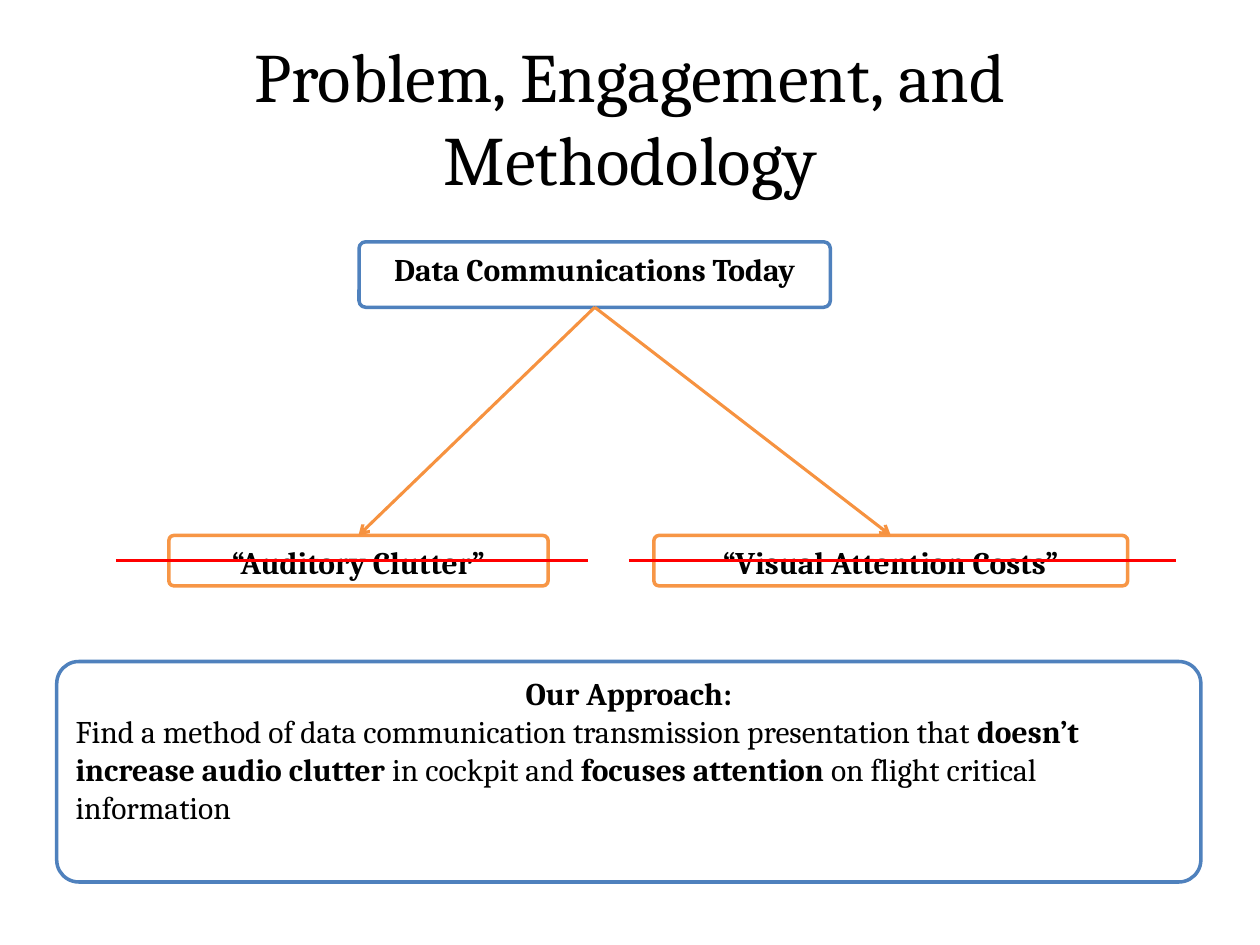
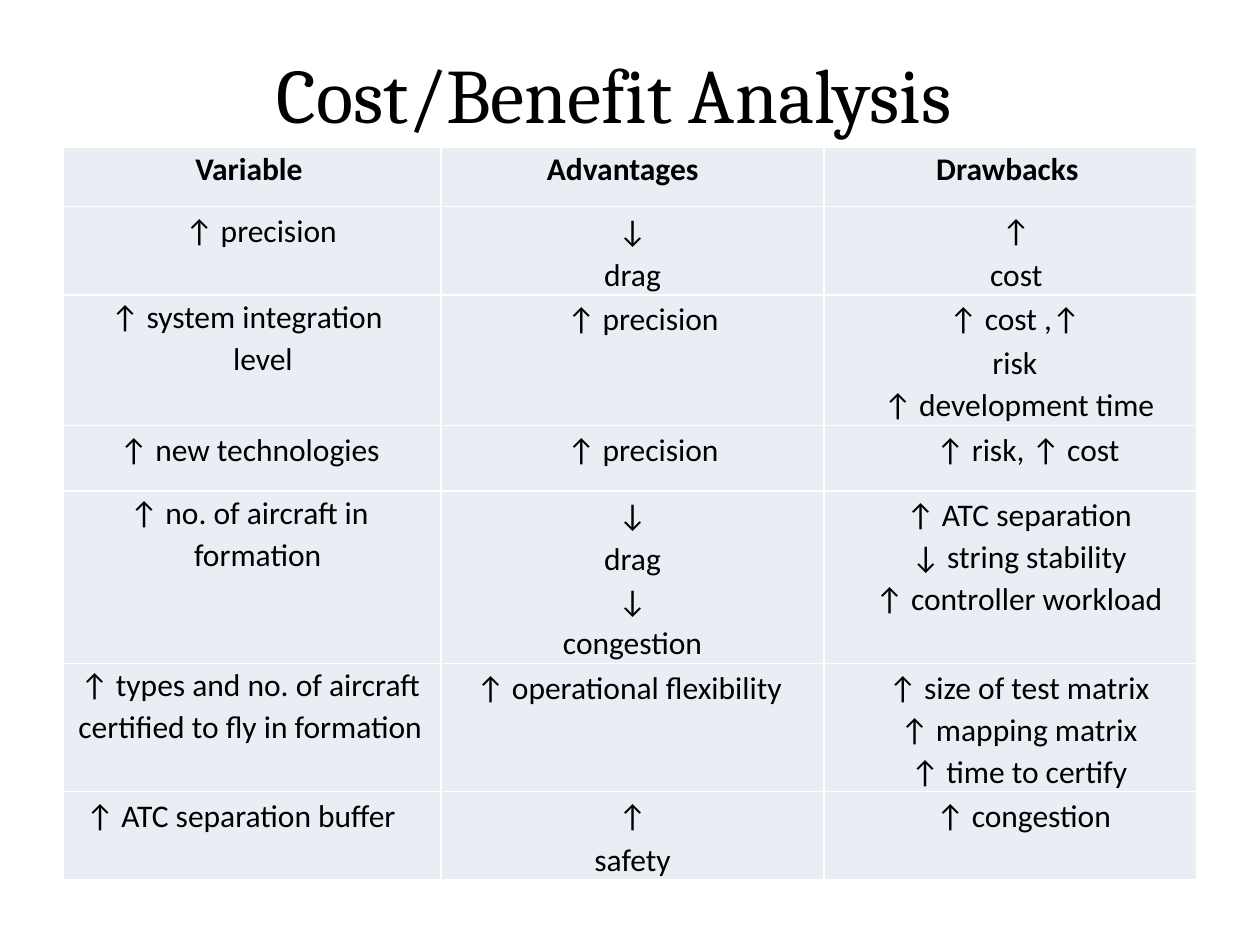
from lxml.etree import SubElement
from pptx import Presentation
from pptx.dml.color import RGBColor
from pptx.enum.shapes import MSO_CONNECTOR, MSO_SHAPE
from pptx.enum.text import MSO_ANCHOR, MSO_AUTO_SIZE, PP_ALIGN
from pptx.oxml.ns import qn
from pptx.util import Pt

BLACK, WHITE, BLUE, ORANGE = "000000", "FFFFFF", "4F81BD", "F79646"
ARROW, RED, CELL = "F69240", "FF0000", "E9EDF4"
SERIF, SANS = "Cambria", "Calibri"

# Content of the problem slide: each paragraph is a list of (text, bold) runs
TODAY = "Data Communications Today"
PROBLEMS = [  # label, box left and width, strike-through from and to
    ("“Auditory Clutter”", 96.5, 216.7, 66.2, 336.2),
    ("“Visual Attention Costs”", 373.7, 270.7, 359.3, 671.8),
]
PROBLEM_TOP, PROBLEM_H = 306, 28.8
APPROACH_HEAD = "Our Approach:"
APPROACH = [
    ("Find a method of data communication transmission presentation that ", False),
    ("doesn’t increase audio clutter ", True),
    ("in cockpit and ", False),
    ("focuses attention", True),
    (" on flight critical information", False),
]


# Cell paragraphs: a right margin makes the text centred
def item(text, left, right=None, hang=0, spacing=1.15):
    return text, left, right, hang, spacing


def exact(text, left, right=None, hang=0):
    return item(text, left, right, hang, Pt(24))


HEADINGS = [("Variable", 75.6), ("Advantages", 60.5), ("Drawbacks", 64.1)]
ROWS = [
    [[item("↑ precision", 69.8)],
     [item("↓ drag", 89.3, 89.3)],
     [item("↑ cost", 90.7, 84.2)]],
    [[exact("↑ system integration level", 97.2, 25, -69.8)],
     [item("↑ precision", 72)],
     [item("↑ cost ,↑ risk", 61.2, 56.2), exact("↑ development time", 29.5, 19.8)]],
    [[item("↑ new technologies", 32.4)],
     [item("↑ precision", 72)],
     [item("↑ risk, ↑ cost", 64.1)]],
    [[exact("↑ no. of aircraft in formation", 74.9, 25, -36.7)],
     [item("↓ drag", 89.3, 89.3), exact("↓ congestion", 62, 62)],
     [item("↑ ATC separation", 41.8, 32), exact("↓ string stability", 46.8, 37),
      exact("↑ controller workload", 24.5, 14.8)]],
    [[exact("↑ types and no. of aircraft certified to fly in formation", 8.6, 10.6)],
     [item("↑ operational flexibility", 20.2)],
     [item("↑ size of test matrix", 30.2, 20.5), exact("↑ mapping matrix", 39.6, 30),
      exact("↑ time to certify", 46.8, 37)]],
    [[item("↑ ATC separation buffer", 13)],
     [item("↑ safety", 82.1, 82.1)],
     [item("↑ congestion", 64.1)]],
]
COL_W = [216, 218.9, 213.1]
ROW_H = [33.8, 37.4, 50.4, 37.4, 72, 72, 36.7]


def color(value):
    return RGBColor.from_string(value)


def add_run(p, text, size=18, font=SERIF, bold=False):
    r = p.add_run()
    r.text = text
    r.font.size, r.font.name, r.font.bold = Pt(size), font, bold
    r.font.color.rgb = color(BLACK)


def add_slide(title, width, height, size):
    s = prs.slides.add_slide(prs.slide_layouts[5])
    sp = s.shapes.title
    sp.left, sp.top, sp.width, sp.height = Pt(36), Pt(21.6), Pt(width), Pt(height)
    tf = sp.text_frame
    tf.auto_size, tf.vertical_anchor = MSO_AUTO_SIZE.NONE, MSO_ANCHOR.MIDDLE
    p = tf.paragraphs[0]
    p.alignment = PP_ALIGN.CENTER
    add_run(p, title, size)
    return s


def add_box(s, heading, x, y, w, h, line, fill=None):
    sp = s.shapes.add_shape(MSO_SHAPE.ROUNDED_RECTANGLE, Pt(x), Pt(y), Pt(w), Pt(h))
    sp.adjustments[0] = 0.1
    sp.shadow.inherit = False
    if fill:
        sp.fill.solid()
        sp.fill.fore_color.rgb = color(fill)
    else:
        sp.fill.background()
    sp.line.color.rgb, sp.line.width = color(line), Pt(2)
    tf = sp.text_frame
    tf.word_wrap, tf.vertical_anchor = True, MSO_ANCHOR.TOP
    tf.paragraphs[0].alignment = PP_ALIGN.CENTER
    add_run(tf.paragraphs[0], heading, bold=True)
    return sp


def add_line(s, x1, y1, x2, y2, line, width, arrow=False):
    c = s.shapes.add_connector(MSO_CONNECTOR.STRAIGHT, Pt(x1), Pt(y1), Pt(x2), Pt(y2))
    c.line.color.rgb, c.line.width = color(line), Pt(width)
    if arrow:
        SubElement(c.line._get_or_add_ln(), qn("a:tailEnd"), type="arrow")
    SubElement(c._element.spPr, qn("a:effectLst"))
    return c


def fill_cell(cell, items, bold):
    cell.margin_left = cell.margin_right = cell.margin_top = cell.margin_bottom = 0
    tcPr = cell._tc.get_or_add_tcPr()
    for side in "LRTB":
        ln = SubElement(tcPr, qn("a:ln" + side), w=str(Pt(1)))
        SubElement(SubElement(ln, qn("a:solidFill")), qn("a:srgbClr"), val=WHITE)
    cell.fill.solid()
    cell.fill.fore_color.rgb = color(CELL)
    tf = cell.text_frame
    for i, (text, left, right, hang, spacing) in enumerate(items):
        p = tf.add_paragraph() if i else tf.paragraphs[0]
        pPr = p._p.get_or_add_pPr()
        for name, value in (("marL", left), ("marR", right or 0), ("indent", hang)):
            pPr.set(name, str(Pt(value)))
        centred = right is not None and not hang
        p.alignment = PP_ALIGN.CENTER if centred else PP_ALIGN.LEFT
        p.line_spacing = spacing
        add_run(p, text, font=SANS, bold=bold)


prs = Presentation()
prs.slide_width, prs.slide_height = Pt(720), Pt(540)

# Problem slide: boxes, arrows from the top box, strike-throughs
s = add_slide("Problem, Engagement, and Methodology", 648, 90, 39.6)
today = add_box(s, TODAY, 205.2, 138.2, 269.3, 37.4, BLUE, WHITE)
for label, x, w, strike_from, strike_to in PROBLEMS:
    box = add_box(s, label, x, PROBLEM_TOP, w, PROBLEM_H, ORANGE)
    arrow = add_line(s, 0, 0, 1, 1, ARROW, 1.75, arrow=True)
    arrow.begin_connect(today, 2)
    arrow.end_connect(box, 0)
    middle = PROBLEM_TOP + PROBLEM_H / 2
    add_line(s, strike_from, middle, strike_to, middle, RED, 2)

approach = add_box(s, APPROACH_HEAD, 32.4, 378, 653.8, 126, BLUE, WHITE)
p = approach.text_frame.add_paragraph()
p.alignment = PP_ALIGN.LEFT
for text, bold in APPROACH:
    add_run(p, text, bold=bold)

# Cost/benefit slide: table
s = add_slide("Cost/Benefit Analysis", 630, 62.6, 44)
header = [[item(text, left, spacing=Pt(23.8))] for text, left in HEADINGS]
table = s.shapes.add_table(len(ROW_H), len(COL_W), Pt(36), Pt(84.2),
                           Pt(sum(COL_W)), Pt(sum(ROW_H))).table
table.first_row = table.horz_banding = False
for col, w in zip(table.columns, COL_W):
    col.width = Pt(w)
for i, (h, cells) in enumerate(zip(ROW_H, [header] + ROWS)):
    table.rows[i].height = Pt(h)
    for j, items in enumerate(cells):
        fill_cell(table.cell(i, j), items, bold=i == 0)

prs.save("out.pptx")
